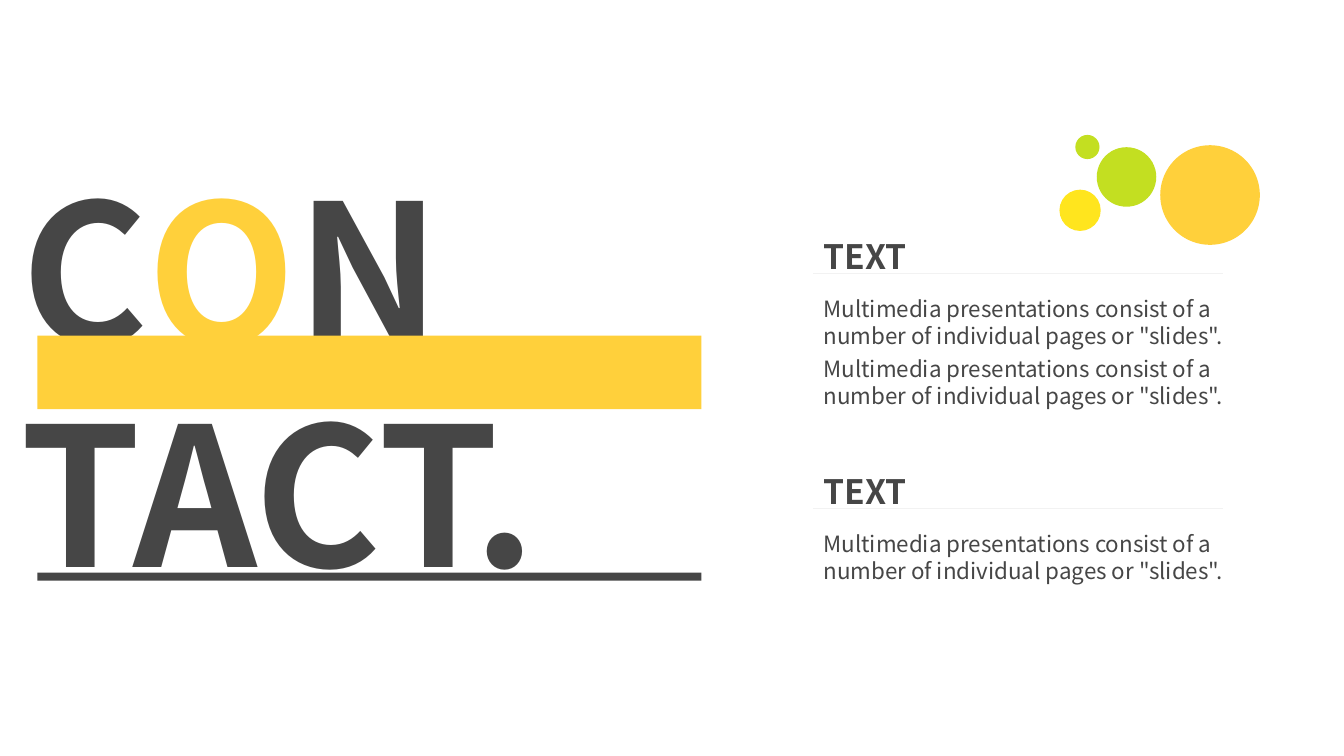
"""Build the contact slide with a split headline and two text sections."""
from dataclasses import dataclass

from lxml import etree
from pptx import Presentation
from pptx.dml.color import RGBColor
from pptx.enum import shapes, text
from pptx.oxml import ns
from pptx.util import Cm, Pt


@dataclass(frozen=True)
class Theme:
    font: str = "Noto Sans CJK SC"
    dark: str = "464646"
    amber: str = "FFD03B"
    lime: str = "C3DF21"
    yellow: str = "FFE51E"
    rule: str = "F2F2F2"
    headline: int = 138
    heading: int = 24
    body: int = 16
    heading_line: int = 65
    paragraph_gap: float = 4.5


THEME = Theme()
SENTENCE = 'Multimedia presentations consist of a number of individual pages or "slides".'
HEADLINE_TOP = [("C", THEME.dark), ("O", THEME.amber), ("N", THEME.dark)]
HEADLINE_BOTTOM = [("TACT.", THEME.dark)]
SECTIONS = [
    ("TEXT", [SENTENCE, SENTENCE], 4.55),
    ("TEXT", [SENTENCE], 10.46),
]
BARS = [(14.43, 0.2, THEME.dark), (8.46, 1.85, THEME.amber)]
CIRCLES = [
    (29.24, 3.66, 2.51, THEME.amber),
    (27.64, 3.71, 1.5, THEME.lime),
    (26.7, 4.78, 1.04, THEME.yellow),
    (27.1, 3.4, 0.61, THEME.lime),
]
HEADLINE_LEFT, BAR_LEFT, BAR_WIDTH = 0.28, 0.94, 16.74
SECTION_LEFT, RULE_WIDTH = 20.5, 10.31
RULE_OFFSET, BODY_OFFSET, BODY_HEIGHT = 2.34, 2.77, 1.57


def place(box, left, top, width, height, wrap=True):
    box.left, box.top, box.width, box.height = map(Cm, (left, top, width, height))
    frame = box.text_frame
    frame.word_wrap = wrap
    frame.auto_size = text.MSO_AUTO_SIZE.SHAPE_TO_FIT_TEXT
    frame.vertical_anchor = text.MSO_ANCHOR.TOP
    return frame


def style(span, size, color, bold=False):
    span.font.name = THEME.font
    span.font.size = Pt(size)
    span.font.bold = bold
    span.font.color.rgb = RGBColor.from_string(color)


def write_headline(frame, pieces):
    para = frame.paragraphs[0]
    para.alignment = text.PP_ALIGN.LEFT
    for letters, color in pieces:
        span = para.add_run()
        span.text = letters
        style(span, THEME.headline, color, bold=True)


def write_lines(frame, lines, size, bold=False, spacing=None):
    frame.text = "\n".join(lines)
    for index, para in enumerate(frame.paragraphs):
        properties = para._p.get_or_add_pPr()
        properties.set("marL", "0")
        properties.set("indent", "0")
        etree.SubElement(properties, ns.qn("a:buNone"))
        para.alignment = text.PP_ALIGN.LEFT
        para.space_before = Pt(THEME.paragraph_gap if index else 0)
        para.line_spacing = spacing
        style(para.runs[0], size, THEME.dark, bold)


def add_filled(page, kind, left, top, width, height, color):
    shape = page.shapes.add_shape(kind, *map(Cm, (left, top, width, height)))
    shape.shadow.inherit = False
    shape.fill.solid()
    shape.fill.fore_color.rgb = RGBColor.from_string(color)
    shape.line.fill.background()


def add_rule(page, top):
    ends = (SECTION_LEFT, top, SECTION_LEFT + RULE_WIDTH, top)
    rule = page.shapes.add_connector(shapes.MSO_CONNECTOR.STRAIGHT, *map(Cm, ends))
    rule.line.color.rgb = RGBColor.from_string(THEME.rule)
    rule.line.width = Pt(0.5)
    etree.SubElement(rule._element.spPr, ns.qn("a:effectLst"))


def add_section(page, heading_box, body_box, section):
    heading, lines, top = section
    frame = place(heading_box, SECTION_LEFT, top, 4.7, 2.18)
    write_lines(frame, [heading], THEME.heading, True, Pt(THEME.heading_line))
    add_rule(page, top + RULE_OFFSET)
    height = BODY_HEIGHT * len(lines)
    frame = place(body_box, SECTION_LEFT, top + BODY_OFFSET, 12.34, height)
    write_lines(frame, lines, THEME.body)


def main():
    deck = Presentation()
    deck.slide_width, deck.slide_height = Cm(33.87), Cm(19.05)
    page = deck.slides.add_slide(deck.slide_layouts.get_by_name("Comparison"))
    title, *section_boxes = page.placeholders

    write_headline(place(title, HEADLINE_LEFT, 3.68, 17.4, 6.15), HEADLINE_TOP)
    lower = page.shapes.add_textbox(0, 0, 0, 0)
    write_headline(place(lower, HEADLINE_LEFT, 9.32, 14.15, 6.15, False), HEADLINE_BOTTOM)

    for top, height, color in BARS:
        add_filled(page, shapes.MSO_SHAPE.RECTANGLE, BAR_LEFT, top, BAR_WIDTH, height, color)
    for heading_box, body_box, section in zip(section_boxes[::2], section_boxes[1::2], SECTIONS):
        add_section(page, heading_box, body_box, section)
    for left, top, size, color in CIRCLES:
        add_filled(page, shapes.MSO_SHAPE.OVAL, left, top, size, size, color)

    deck.save("out.pptx")


if __name__ == "__main__":
    main()
